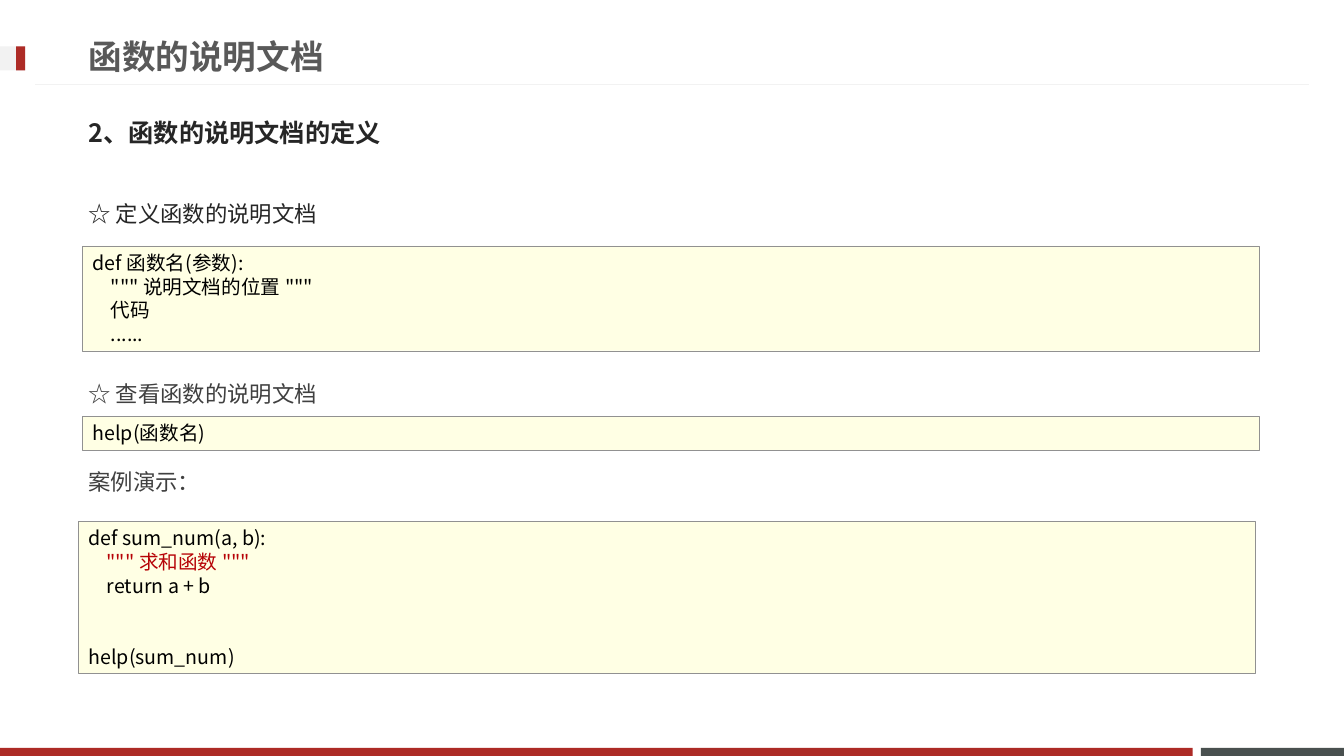
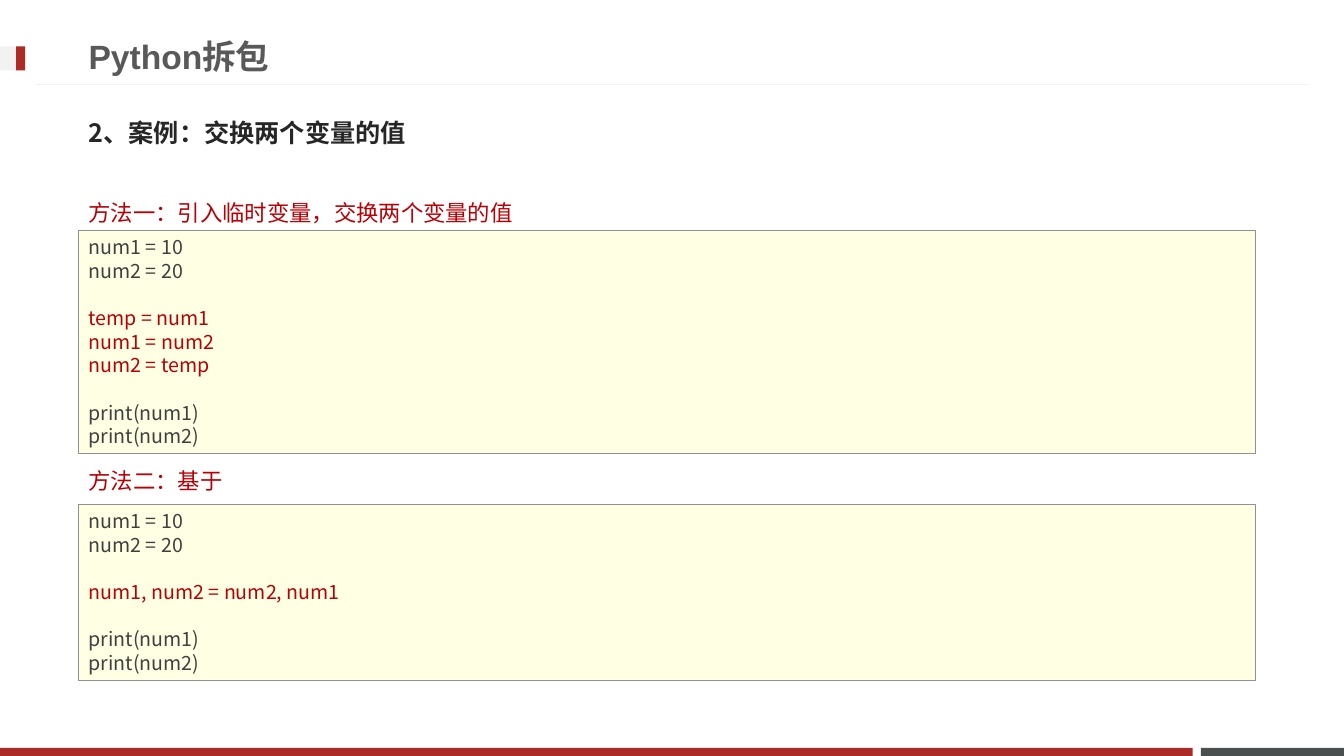
from dataclasses import dataclass

from lxml import etree
from pptx import Presentation
from pptx.dml.color import RGBColor
from pptx.enum.shapes import MSO_CONNECTOR, MSO_SHAPE
from pptx.enum.text import MSO_ANCHOR, PP_ALIGN
from pptx.oxml.ns import qn
from pptx.util import Inches, Pt

RECT = MSO_SHAPE.RECTANGLE
STRAIGHT = MSO_CONNECTOR.STRAIGHT
TOP, MIDDLE = MSO_ANCHOR.TOP, MSO_ANCHOR.MIDDLE
LEFT = PP_ALIGN.LEFT

BRICK = RGBColor(0xAD, 0x2B, 0x26)
SLATE = RGBColor(0x49, 0x50, 0x4F)
MIST = RGBColor(0xF2, 0xF2, 0xF2)
CREAM = RGBColor(0xFF, 0xFF, 0xE4)
EDGE = RGBColor(0x91, 0x91, 0x91)
GREY = RGBColor(0x59, 0x59, 0x59)
INK = RGBColor(0x26, 0x26, 0x26)
SOFT = RGBColor(0x40, 0x40, 0x40)
RED = RGBColor(0xB6, 0x02, 0x06)
BLACK = RGBColor(0, 0, 0)

LATIN = "Arial"
HAN = "Noto Sans CJK JP"
MARGIN = 0.78
WIDE = 11.76
CODE_WIDTH = 11.67
LABEL_HEIGHT = 0.4
PITCH = 16.9  # points from one code line to the next
TAB = 0.18


@dataclass
class Line:
    text: str
    color: RGBColor = BLACK
    tabs: int = 0
    gap: int = 0  # empty lines above


@dataclass
class Code:
    left: float
    top: float
    height: float
    lines: list[Line]


@dataclass
class Label:
    text: str
    middle: float
    color: RGBColor


@dataclass
class Page:
    title: str
    heading: str
    labels: list[Label]
    codes: list[Code]


START = [Line("num1 = 10", SOFT), Line("num2 = 20", SOFT)]
FINISH = [Line("print(num1)", SOFT, gap=1), Line("print(num2)", SOFT)]

PAGES = [
    Page(
        "函数的说明文档",
        "2、函数的说明文档的定义",
        [
            Label("☆ 定义函数的说明文档", 2.12, INK),
            Label("☆ 查看函数的说明文档", 3.9, SOFT),
            Label("案例演示：", 4.78, SOFT),
        ],
        [
            Code(0.82, 2.44, 1.04, [
                Line("def 函数名(参数):"),
                Line('""" 说明文档的位置 """', tabs=1),
                Line("代码", tabs=1),
                Line("......", tabs=1),
            ]),
            Code(0.82, 4.13, 0.34, [Line("help(函数名)")]),
            Code(MARGIN, 5.17, 1.51, [
                Line("def sum_num(a, b):"),
                Line('""" 求和函数 """', RED, tabs=1),
                Line("return a + b", tabs=1),
                Line("help(sum_num)", gap=2),
            ]),
        ],
    ),
    Page(
        "Python拆包",
        "2、案例：交换两个变量的值",
        [
            Label("方法一：引入临时变量，交换两个变量的值", 2.11, RED),
            Label("方法二：基于", 4.77, RED),
        ],
        [
            Code(MARGIN, 2.28, 2.22, START + [
                Line("temp = num1", RED, gap=1),
                Line("num1 = num2", RED),
                Line("num2 = temp", RED),
            ] + FINISH),
            Code(MARGIN, 5, 1.75, START + [
                Line("num1, num2 = num2, num1", RED, gap=1),
            ] + FINISH),
        ],
    ),
]


def style(para, size: float, color: RGBColor, face: str, bold: bool = False) -> None:
    for run in para.runs:
        font = run.font
        font.size, font.bold = Pt(size), bold
        font.color.rgb = color
        font.name = face
        etree.SubElement(run._r.get_or_add_rPr(), qn("a:ea")).set("typeface", HAN)


def add_rect(slide, left: float, top: float, width: float, height: float, fill: RGBColor):
    rect = slide.shapes.add_shape(
        RECT, Inches(left), Inches(top), Inches(width), Inches(height))
    rect.shadow.inherit = False
    rect.fill.solid()
    rect.fill.fore_color.rgb = fill
    rect.line.fill.background()
    return rect


def add_text(slide, text: str, top: float, height: float, size: float,
             color: RGBColor, face: str, bold: bool = False) -> None:
    box = slide.shapes.add_textbox(
        Inches(MARGIN), Inches(top), Inches(WIDE), Inches(height))
    frame = box.text_frame
    frame.word_wrap = True
    frame.vertical_anchor = MIDDLE
    frame.text = text
    style(frame.paragraphs[0], size, color, face, bold)


def add_code(slide, code: Code) -> None:
    box = add_rect(slide, code.left, code.top, CODE_WIDTH, code.height, CREAM)
    box.line.color.rgb = EDGE
    box.line.width = Pt(0.25)
    frame = box.text_frame
    frame.word_wrap = True
    frame.vertical_anchor = TOP
    frame.text = "\n".join(line.text for line in code.lines)
    for para, line in zip(frame.paragraphs, code.lines):
        para.alignment = LEFT
        para.line_spacing = Pt(PITCH)
        para.space_before = Pt(PITCH * line.gap)
        para._p.get_or_add_pPr().set("marL", str(Inches(TAB * line.tabs)))
        style(para, 14, line.color, HAN)


def add_frame(slide) -> None:
    """Draw the bands, the rule and the marker that every slide has."""
    add_rect(slide, 11.91, 7.42, 1.42, 0.08, SLATE)
    add_rect(slide, 0, 7.42, 11.83, 0.08, BRICK)
    rule = slide.shapes.add_connector(
        STRAIGHT, Inches(12.98), Inches(0.84), Inches(0.35), Inches(0.84))
    rule.line.color.rgb = MIST
    rule.line.width = Pt(0.75)
    etree.SubElement(rule._element.spPr, qn("a:effectLst"))
    add_rect(slide, 0, 0.46, 0.25, 0.24, MIST)
    add_rect(slide, 0.16, 0.46, 0.09, 0.24, BRICK)


def add_page(deck, page: Page) -> None:
    slide = deck.slides.add_slide(deck.slide_layouts[6])
    add_frame(slide)
    add_text(slide, page.title, 0.27, 0.57, 24, GREY, LATIN, True)
    add_text(slide, page.heading, 1.03, 0.57, 18, INK, HAN, True)
    for label in page.labels:
        add_text(slide, label.text, label.middle - LABEL_HEIGHT / 2,
                 LABEL_HEIGHT, 16, label.color, LATIN)
    for code in page.codes:
        add_code(slide, code)


def main() -> None:
    deck = Presentation()
    deck.slide_width, deck.slide_height = Inches(13.33), Inches(7.5)
    for page in PAGES:
        add_page(deck, page)
    deck.save("out.pptx")


if __name__ == "__main__":
    main()
